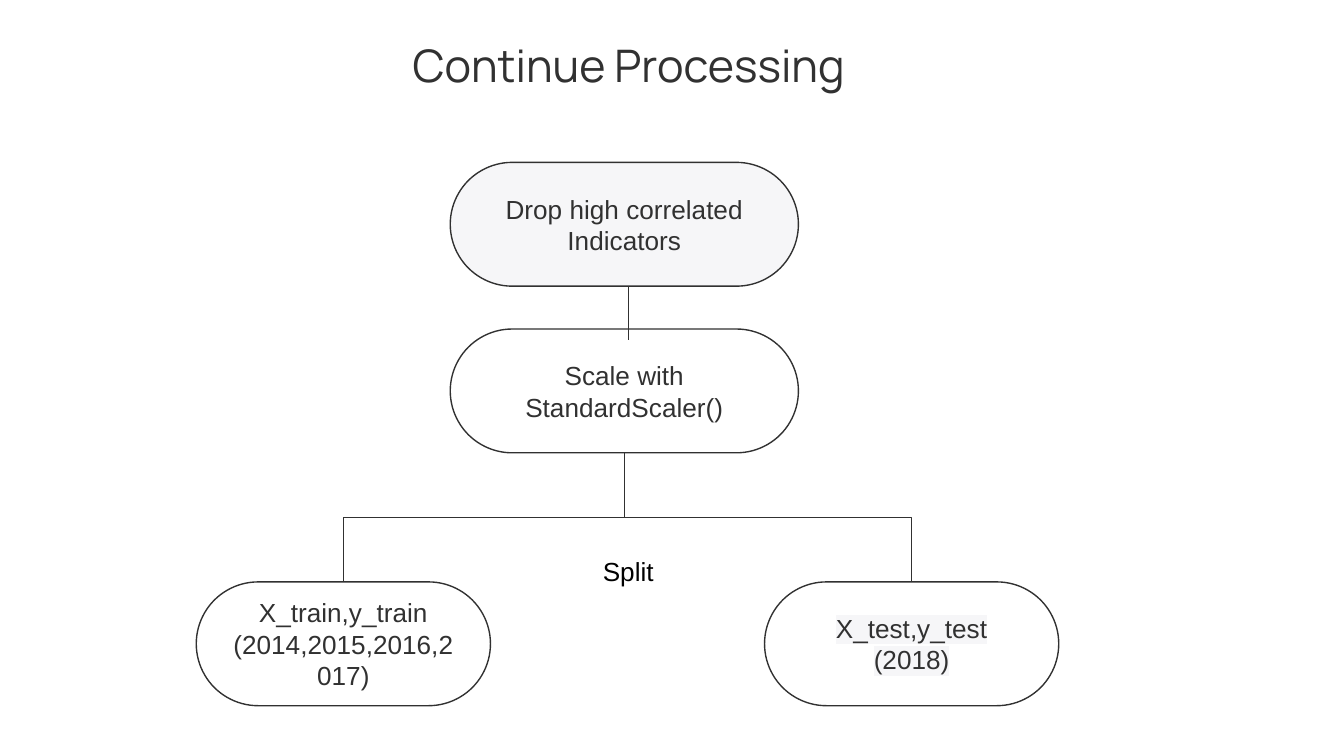
from lxml import etree
from pptx import Presentation
from pptx.dml.color import RGBColor
from pptx.enum.shapes import MSO_CONNECTOR, MSO_SHAPE
from pptx.enum.text import MSO_ANCHOR, PP_ALIGN
from pptx.oxml.ns import qn
from pptx.util import Cm, Pt

PILL = MSO_SHAPE.ROUNDED_RECTANGLE
ELBOW, STRAIGHT = MSO_CONNECTOR.ELBOW, MSO_CONNECTOR.STRAIGHT
MIDDLE, TOP = MSO_ANCHOR.MIDDLE, MSO_ANCHOR.TOP
CENTER = PP_ALIGN.CENTER

INK = RGBColor(0x31, 0x31, 0x31)
BLACK = RGBColor(0, 0, 0)
PALE = RGBColor(0xF6, 0xF6, 0xF8)

TOP_SITE, BOTTOM_SITE = 0, 2
PILL_H = 2.34


def set_text(shape, text, font="Arial", size=14, color=INK, anchor=MIDDLE):
    frame = shape.text_frame
    frame.text = text
    frame.word_wrap = True
    frame.vertical_anchor = anchor
    frame.margin_left = frame.margin_right = Cm(0.25)
    frame.margin_top = frame.margin_bottom = Cm(0.25)
    for par in frame.paragraphs:
        par.alignment = CENTER
        for run in par.runs:
            run.font.name = font
            run.font.size = Pt(size)
            run.font.color.rgb = color


def add_label(slide, box, text, **style):
    label = slide.shapes.add_textbox(*map(Cm, box))
    set_text(label, text, **style)


def add_pill(slide, left, top, width, text, fill=None):
    pill = slide.shapes.add_shape(PILL, Cm(left), Cm(top), Cm(width), Cm(PILL_H))
    pill.adjustments[0] = 0.5
    pill.shadow.inherit = False
    if fill is None:
        pill.fill.background()
    else:
        pill.fill.solid()
        pill.fill.fore_color.rgb = fill
    pill.line.color.rgb = INK
    pill.line.width = Pt(0.75)
    set_text(pill, text)
    return pill


def mark_text(shape, color):
    """Put a highlight behind every run."""
    for par in shape.text_frame.paragraphs:
        for run in par.runs:
            mark = etree.Element(qn("a:highlight"))
            etree.SubElement(mark, qn("a:srgbClr"), val=str(color))
            run.font._element.find(qn("a:solidFill")).addnext(mark)


def add_line(slide, kind, *ends):
    line = slide.shapes.add_connector(kind, *ends)
    line.line.color.rgb = INK
    line.line.width = Pt(0.75)
    etree.SubElement(line._element.spPr, qn("a:effectLst"))
    return line


def add_branch(slide, above, below):
    """Join two pills with an elbow that leaves downwards."""
    x1, y1 = above.left + above.width // 2, above.top + above.height
    x2, y2 = below.left + below.width // 2, below.top
    line = add_line(slide, ELBOW, x1, y1, x2, y2)
    line.begin_connect(above, BOTTOM_SITE)
    line.end_connect(below, TOP_SITE)
    # The elbow runs sideways by default, so its frame is turned a quarter.
    wide, high = y2 - y1, abs(x2 - x1)
    line.left, line.top = (x1 + x2 - wide) // 2, (y1 + y2 - high) // 2
    line.width, line.height = wide, high
    frame = line._element.spPr.find(qn("a:xfrm"))
    frame.attrib.clear()
    if x2 < x1:
        frame.set("rot", "5400000")
    else:
        frame.set("rot", "16200000")
        frame.set("flipH", "1")


def main():
    deck = Presentation()
    deck.slide_width, deck.slide_height = Cm(25.4), Cm(14.29)
    slide = deck.slides.add_slide(deck.slide_layouts[6])

    add_label(slide, (6.99, 0.38, 9.78, 1.68), "Continue Processing",
              font="Manrope", size=24)
    add_pill(slide, 8.51, 3.07, 6.58, "Drop high correlated Indicators", PALE)
    scale = add_pill(slide, 8.51, 6.22, 6.58, "Scale with StandardScaler()")
    train = add_pill(slide, 3.71, 11, 5.56,
                     "X_train,y_train\n(2014,2015,2016,2017)")
    test = add_pill(slide, 14.45, 11, 5.56, "X_test,y_test\n(2018)")
    mark_text(test, PALE)

    add_line(slide, STRAIGHT, Cm(11.88), Cm(5.41), Cm(11.88), Cm(6.43))
    for part in (train, test):
        add_branch(slide, scale, part)
    add_label(slide, (10.16, 10.24, 3.43, 1.12), "Split",
              color=BLACK, anchor=TOP)

    deck.save("out.pptx")


if __name__ == "__main__":
    main()
